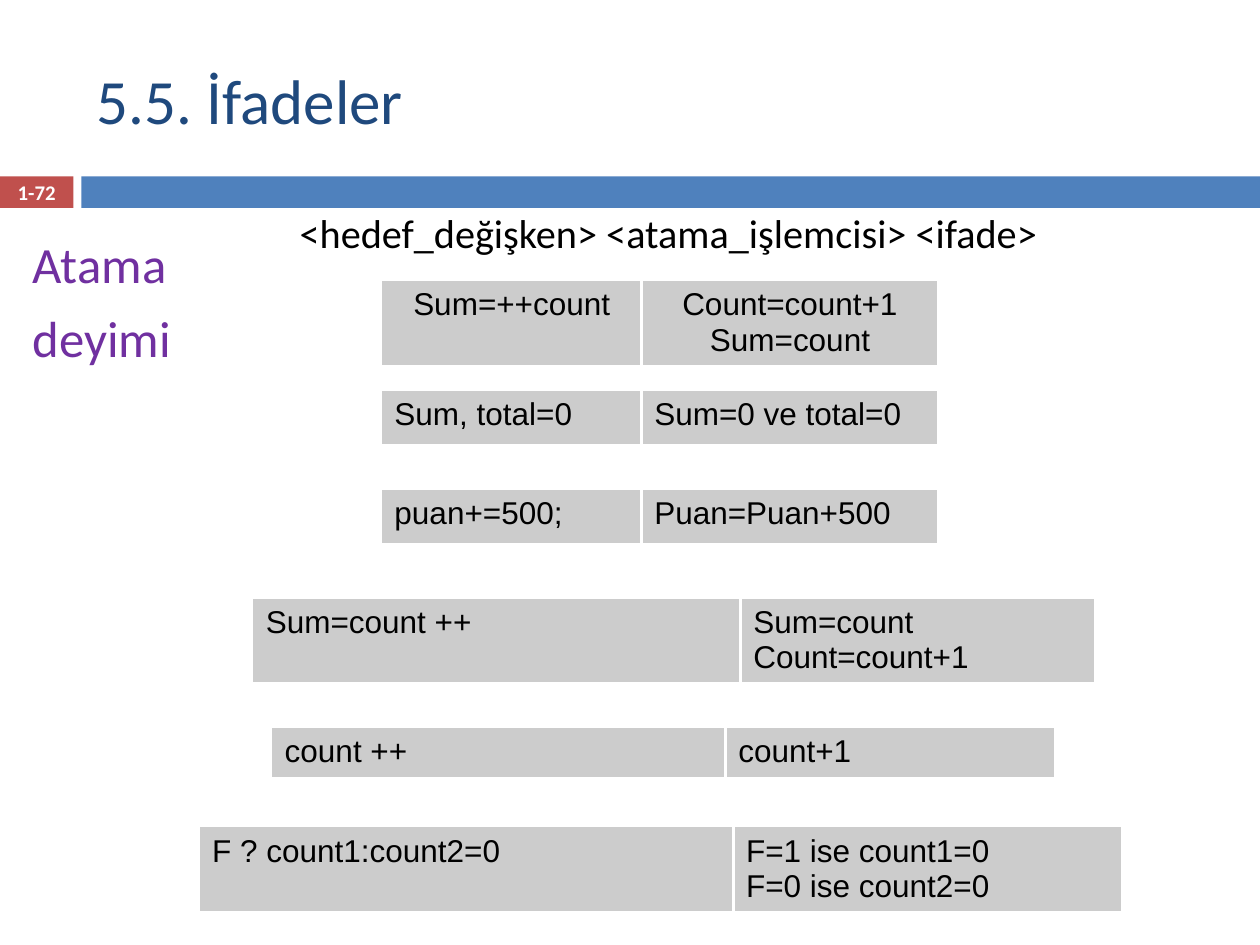
from lxml.etree import SubElement
from pptx import Presentation
from pptx.dml.color import RGBColor
from pptx.enum.shapes import MSO_SHAPE
from pptx.enum.text import MSO_ANCHOR, MSO_AUTO_SIZE, PP_ALIGN
from pptx.oxml import parse_xml
from pptx.oxml.ns import nsdecls, qn
from pptx.util import Pt

RED = RGBColor(0xC0, 0x50, 0x4D)
BLUE = RGBColor(0x4F, 0x81, 0xBD)
NAVY = RGBColor(0x1F, 0x49, 0x7D)
PURPLE = RGBColor(0x70, 0x30, 0xA0)
GRAY = RGBColor(0xCC, 0xCC, 0xCC)
WHITE = RGBColor(0xFF, 0xFF, 0xFF)
BLACK = RGBColor(0, 0, 0)
NO_STYLE = "{2D5ABB26-0587-4C30-8999-92F81FD0307C}"


class Deck:
    """Holds the style and the current slide, and adds each kind of element."""

    font = "Calibri"
    cell_font = "Arial"
    cell_size = 18

    def __init__(self, prs):
        self.s = prs.slides.add_slide(prs.slide_layouts[1])

    def add_lines(self, tf, lines, size, color, align=PP_ALIGN.LEFT, before=0,
                  bold=False, font=font):
        for i, line in enumerate(lines):
            p = tf.add_paragraph() if i else tf.paragraphs[0]
            p.alignment = align
            p.space_before = Pt(before if i else 0)
            r = p.add_run()
            r.text = line
            r.font.name = font
            r.font.size = Pt(size)
            r.font.bold = bold
            r.font.color.rgb = color

    def fill_box(self, sp, box, lines, size, color, anchor=MSO_ANCHOR.TOP, **style):
        sp.left, sp.top, sp.width, sp.height = map(Pt, box)
        tf = sp.text_frame
        tf.word_wrap = True
        tf.auto_size = MSO_AUTO_SIZE.NONE
        tf.vertical_anchor = anchor
        self.add_lines(tf, lines, size, color, **style)
        return tf

    def title(self, box, text):
        self.fill_box(self.s.shapes.title, box, [text], 36, NAVY, MSO_ANCHOR.MIDDLE)

    def body(self, box, lines):
        tf = self.fill_box(self.s.placeholders[1], box, lines, 29, PURPLE, before=7)
        for p in tf.paragraphs:
            pPr = p._p.get_or_add_pPr()
            pPr.set("marL", "0")
            pPr.set("indent", "0")
            SubElement(pPr, qn("a:buNone"))

    def text(self, box, line, size, color, **style):
        sp = self.s.shapes.add_textbox(*map(Pt, box))
        self.fill_box(sp, box, [line], size, color, align=PP_ALIGN.CENTER, **style)

    def bar(self, box, color):
        sp = self.s.shapes.add_shape(MSO_SHAPE.RECTANGLE, *map(Pt, box))
        sp.shadow.inherit = False
        sp.fill.solid()
        sp.fill.fore_color.rgb = color
        sp.line.fill.background()

    def border(self, cell, sides):
        for i, side in enumerate(sides):
            ln = parse_xml(
                f'<a:{side} {nsdecls("a")} w="{Pt(2)}"><a:solidFill>'
                f'<a:srgbClr val="{WHITE}"/></a:solidFill></a:{side}>')
            cell._tc.get_or_add_tcPr().insert(i, ln)

    def table(self, left, top, widths, height, texts, align=PP_ALIGN.LEFT):
        table = self.s.shapes.add_table(
            1, 2, Pt(left), Pt(top), Pt(sum(widths)), Pt(height)).table
        table.first_row = table.horz_banding = False
        table._tbl.tblPr.find(qn("a:tableStyleId")).text = NO_STYLE
        for i, (width, lines) in enumerate(zip(widths, texts)):
            table.columns[i].width = Pt(width)
            cell = table.cell(0, i)
            cell.fill.solid()
            cell.fill.fore_color.rgb = GRAY
            self.border(cell, ("lnL", "lnR") if i else ("lnR",))
            self.add_lines(cell.text_frame, lines, self.cell_size, BLACK,
                           align=align, font=self.cell_font)


def main():
    prs = Presentation()
    prs.slide_width, prs.slide_height = Pt(720), Pt(540)
    deck = Deck(prs)
    deck.bar((0, 100.8, 42, 18), RED)
    deck.bar((46.5, 100.8, 673.5, 18), BLUE)
    deck.body((11.5, 129.6, 98, 95.8), ["Atama", "deyimi"])
    deck.title((48.2, 18, 642.2, 77.8), "5.5. İfadeler")
    deck.text((0, 100.1, 42, 19.4), "1-72", 11.9, WHITE,
              anchor=MSO_ANCHOR.MIDDLE, bold=True)
    deck.text((121.7, 115.2, 521.3, 28.1),
              "<hedef_değişken> <atama_işlemcisi> <ifade>", 23, BLACK)

    narrow = (148.5, 169.5)
    deck.table(218.2, 160.6, narrow, 48,
               (["Sum=++count"], ["Count=count+1", "Sum=count"]), PP_ALIGN.CENTER)
    deck.table(218.2, 223.2, narrow, 30.5, (["Sum, total=0"], ["Sum=0 ve total=0"]))
    deck.table(218.2, 280, narrow, 30.5, (["puan+=500;"], ["Puan=Puan+500"]))
    deck.table(144.7, 342, (278.6, 203), 48,
               (["Sum=count ++"], ["Sum=count", "Count=count+1"]))
    deck.table(155.5, 416, (259.2, 188.6), 28.2, (["count ++"], ["count+1"]))
    deck.table(114, 472.8, (305.2, 222), 48,
               (["F ? count1:count2=0"], ["F=1 ise count1=0", "F=0 ise count2=0"]))
    prs.save("out.pptx")


if __name__ == "__main__":
    main()
